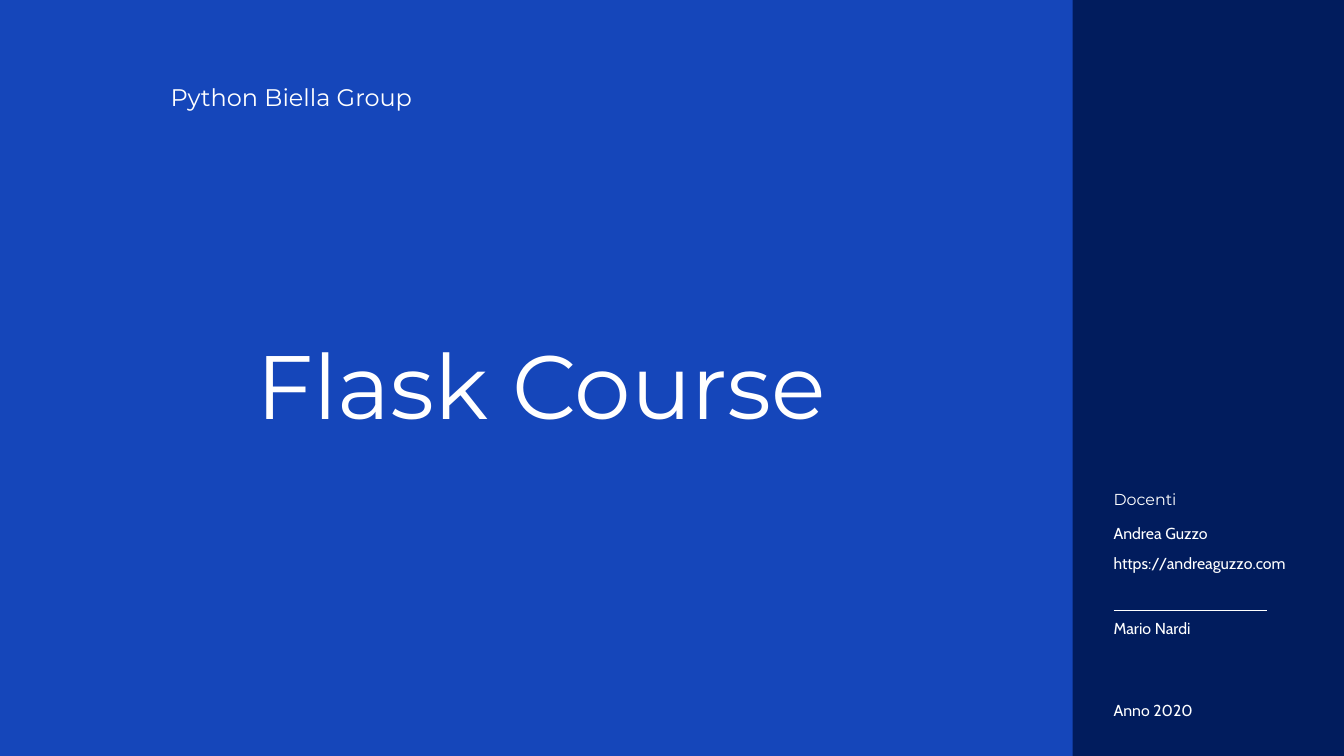
from lxml import etree
from pptx import Presentation, util as u
from pptx.dml.color import RGBColor
from pptx.enum import shapes, text
from pptx.oxml.ns import qn

NAVY = RGBColor(0x01, 0x1C, 0x5D)
BLUE = RGBColor(0x15, 0x46, 0xBA)
WHITE = RGBColor(0xFF, 0xFF, 0xFF)
HEAD, BODY = "Montserrat", "Cabin"


def write(frame, words, font=BODY, size=17, lead=None, color=WHITE):
    """Fill a frame with one left-aligned line of formatted text."""
    frame.margin_left = frame.margin_right = 0
    frame.margin_top = frame.margin_bottom = 0
    frame.word_wrap = True
    frame.auto_size = text.MSO_AUTO_SIZE.NONE
    frame.vertical_anchor = text.MSO_ANCHOR.TOP
    para = frame.paragraphs[0]
    para.alignment = text.PP_ALIGN.LEFT
    para.space_before = u.Pt(0)
    para.line_spacing = u.Pt(lead or size)
    run = para.add_run()
    run.text = words
    run.font.name, run.font.size = font, u.Pt(size)
    run.font.color.rgb = color


class Deck:
    def __init__(self, wide, high):
        self.file = Presentation()
        self.file.slide_width, self.file.slide_height = u.Cm(wide), u.Cm(high)
        self.slide = self.file.slides.add_slide(self.file.slide_layouts[5])

    def ground(self, color):
        fill = self.slide.background.fill
        fill.solid()
        fill.fore_color.rgb = color

    def panel(self, box, color):
        shape = self.slide.shapes.add_shape(
            shapes.MSO_SHAPE.RECTANGLE, *map(u.Cm, box))
        shape.shadow.inherit = False
        shape.fill.solid()
        shape.fill.fore_color.rgb = color
        shape.line.fill.background()

    def title(self, words, box, **style):
        shape = self.slide.shapes.title
        shape.left, shape.top, shape.width, shape.height = map(u.Cm, box)
        # Bring the title in front of the panel
        tree = shape.element.getparent()
        tree.append(shape.element)
        write(shape.text_frame, words, **style)

    def label(self, words, box, **style):
        shape = self.slide.shapes.add_textbox(*map(u.Cm, box))
        write(shape.text_frame, words, **style)

    def rule(self, left, top, length, color=WHITE):
        line = self.slide.shapes.add_connector(
            shapes.MSO_CONNECTOR.STRAIGHT,
            u.Cm(left), u.Cm(top), u.Cm(left + length), u.Cm(top))
        line.line.color.rgb = color
        line.line.width = u.Pt(0.75)
        etree.SubElement(line.element.spPr, qn("a:effectLst"))


def main():
    deck = Deck(50.8, 28.58)

    # Blue panel on a navy ground
    deck.ground(NAVY)
    deck.panel((-1.09, -0.23, 41.63, 29.85), BLUE)

    # Group name and course title
    deck.label("Python Biella Group", (6.45, 3.3, 9.58, 0.94),
               font=HEAD, size=25.7)
    deck.title("Flask Course", (9.68, 13.13, 24.99, 3.58),
               font=HEAD, size=96.4)

    # Teachers and year in the side column
    side, wide, high = 42.09, 7.01, 0.64
    deck.label("Docenti", (side, 18.62, wide, high), font=HEAD)
    for words, top in (("Andrea Guzzo", 19.91),
                       ("https://andreaguzzo.com", 21.06),
                       ("Mario Nardi", 23.5)):
        deck.label(words, (side, top, wide, high))
    deck.rule(side, 23.09, 5.79)
    deck.label("Anno 2020", (side, 26.37, 5.79, 0.74), lead=23.8)

    deck.file.save("out.pptx")


if __name__ == "__main__":
    main()
